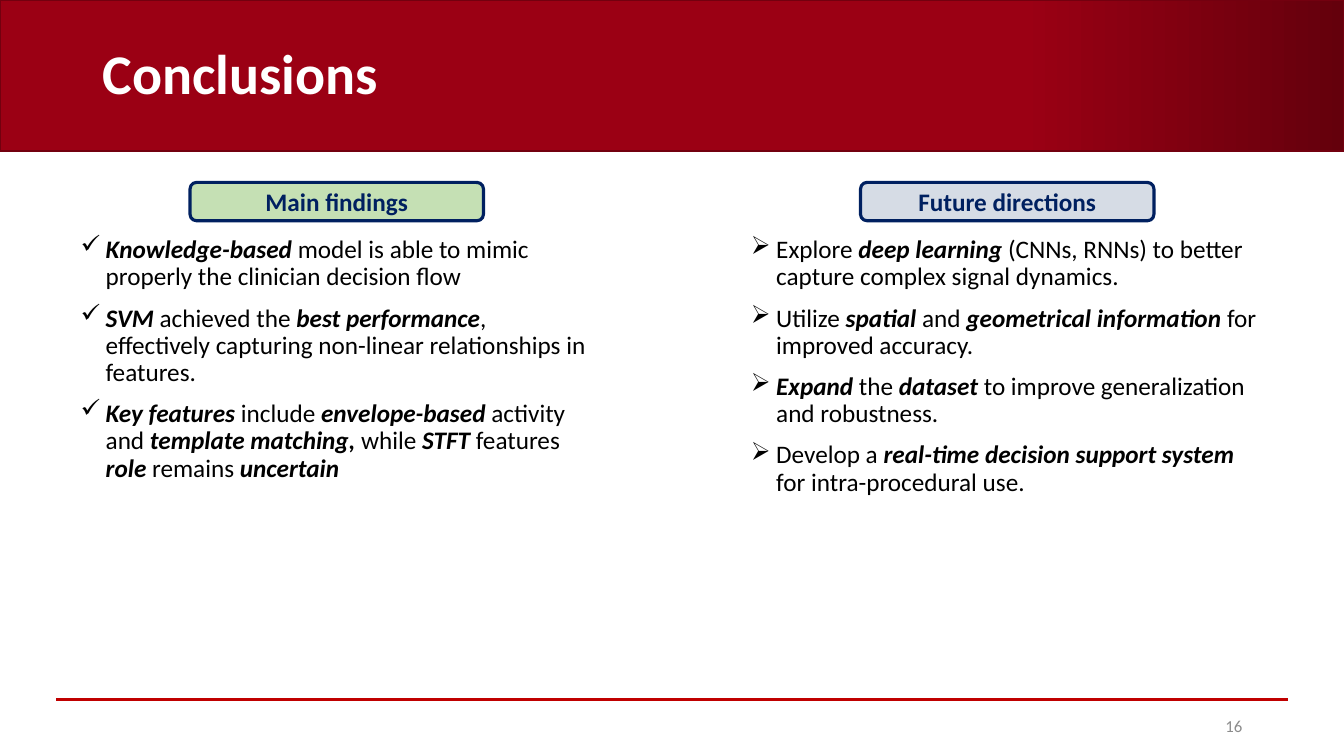
"""Build the Conclusions slide: a title banner over two columns of bulleted points."""
from lxml import etree
from pptx import Presentation
from pptx.dml.color import RGBColor as RGB
from pptx.enum.shapes import MSO_CONNECTOR as CONN, MSO_SHAPE as SHAPE
from pptx.enum.text import MSO_ANCHOR as ANCHOR, PP_ALIGN as ALIGN
from pptx.oxml.ns import qn
from pptx.util import Inches, Pt

TITLE = "Conclusions"
PAGE = "16"
COLUMNS = [
    {"label": "Main findings", "fill": "C5E0B4", "bullet": "✓", "left": 0.7, "height": 3.3, "points": [
        "*Knowledge-based* model is able to mimic properly the clinician decision flow",
        "*SVM* achieved the *best performance*, effectively capturing non-linear "
        "relationships in features.",
        "*Key features* include *envelope-based* activity and *template matching, *while"
        "* STFT *features* role *remains* uncertain*",
    ]},
    {"label": "Future directions", "fill": "D6DCE5", "bullet": "➢", "left": 7.35, "height": 1.75, "points": [
        "Explore *deep learning* (CNNs, RNNs) to better capture complex signal dynamics.",
        "Utilize *spatial* and *geometrical information* for improved accuracy.",
        "*Expand* the *dataset* to improve generalization and robustness.",
        "Develop a *real-time decision support system* for intra-procedural use.",
    ]},
]
THEME = {
    "font": "Calibri",
    "title": {"size": 40, "color": "FFFFFF", "bold": True},
    "label": {"size": 18, "color": "002060", "bold": True},
    "body": {"size": 18, "color": "000000"},
    "page": {"size": 12, "color": "8C8C8C"},
    "banner": [(0.76, "9B0014"), (1, "64000C")],
    "banner_line": "73000F",
    "rule": "C00000",
}
SLIDE_W, SLIDE_H, BANNER_H = 13.33, 7.5, 1.5
COLUMN_W, COLUMN_TOP = 5.28, 2.3
LABEL_W, LABEL_H, LABEL_TOP = 2.91, 0.38, 1.81
INDENT = 0.25


def rgb(color):
    return RGB.from_string(color)


def add_run(p, text, style, **extra):
    r = p.add_run()
    r.text = text
    values = {"name": THEME["font"], **style, **extra}
    r.font.color.rgb = rgb(values.pop("color"))
    values["size"] = Pt(values["size"])
    for key, value in values.items():
        setattr(r.font, key, value)


def add_shape(slide, kind, box, line, width):
    sp = slide.shapes.add_shape(kind, *map(Inches, box))
    sp.shadow.inherit = False
    sp.line.color.rgb = rgb(line)
    sp.line.width = Pt(width)
    return sp


def add_text(slide, box, anchor=ANCHOR.TOP):
    tf = slide.shapes.add_textbox(*map(Inches, box)).text_frame
    tf.word_wrap = True
    tf.vertical_anchor = anchor
    return tf


def add_frame(slide):
    banner = add_shape(slide, SHAPE.RECTANGLE, (0, 0, SLIDE_W, BANNER_H), THEME["banner_line"], 1)
    banner.fill.gradient()
    banner.fill.gradient_angle = 0
    for stop, (position, color) in zip(banner.fill.gradient_stops, THEME["banner"]):
        stop.position = position
        stop.color.rgb = rgb(color)

    rule = slide.shapes.add_connector(CONN.STRAIGHT, *map(Inches, (0.56, 6.94, 12.77, 6.94)))
    rule.line.color.rgb = rgb(THEME["rule"])
    rule.line.width = Pt(1.5)
    etree.SubElement(rule._element.spPr, qn("a:effectLst"))

    p = add_text(slide, (0.92, 0.23, 10.83, 1.06), ANCHOR.MIDDLE).paragraphs[0]
    p.line_spacing = 0.9
    add_run(p, TITLE, THEME["title"])
    p = add_text(slide, (9.42, 7, 3, 0.4), ANCHOR.MIDDLE).paragraphs[0]
    p.alignment = ALIGN.RIGHT
    add_run(p, PAGE, THEME["page"])


def add_point(p, text, bullet):
    pPr = p._p.get_or_add_pPr()
    pPr.set("marL", str(Inches(INDENT)))
    pPr.set("indent", str(-Inches(INDENT)))
    etree.SubElement(pPr, qn("a:buChar"), char=bullet)
    p.line_spacing = 0.9
    for i, part in enumerate(text.split("*")):
        if part:
            strong = i % 2 == 1
            add_run(p, part, THEME["body"], bold=strong, italic=strong)


def add_column(slide, column):
    left = column["left"]
    tf = add_text(slide, (left, COLUMN_TOP, COLUMN_W, column["height"]))
    for i, text in enumerate(column["points"]):
        p = tf.add_paragraph() if i else tf.paragraphs[0]
        add_point(p, text, column["bullet"])
        if i:
            p.space_before = Pt(10)

    box = (left + (COLUMN_W - LABEL_W) / 2, LABEL_TOP, LABEL_W, LABEL_H)
    label = add_shape(slide, SHAPE.ROUNDED_RECTANGLE, box, THEME["label"]["color"], 2.25)
    label.fill.solid()
    label.fill.fore_color.rgb = rgb(column["fill"])
    label.text_frame.vertical_anchor = ANCHOR.MIDDLE
    p = label.text_frame.paragraphs[0]
    p.alignment = ALIGN.CENTER
    add_run(p, column["label"], THEME["label"])


def main():
    prs = Presentation()
    prs.slide_width, prs.slide_height = Inches(SLIDE_W), Inches(SLIDE_H)
    slide = prs.slides.add_slide(prs.slide_layouts[6])
    add_frame(slide)
    for column in COLUMNS:
        add_column(slide, column)
    prs.save("out.pptx")


if __name__ == "__main__":
    main()
